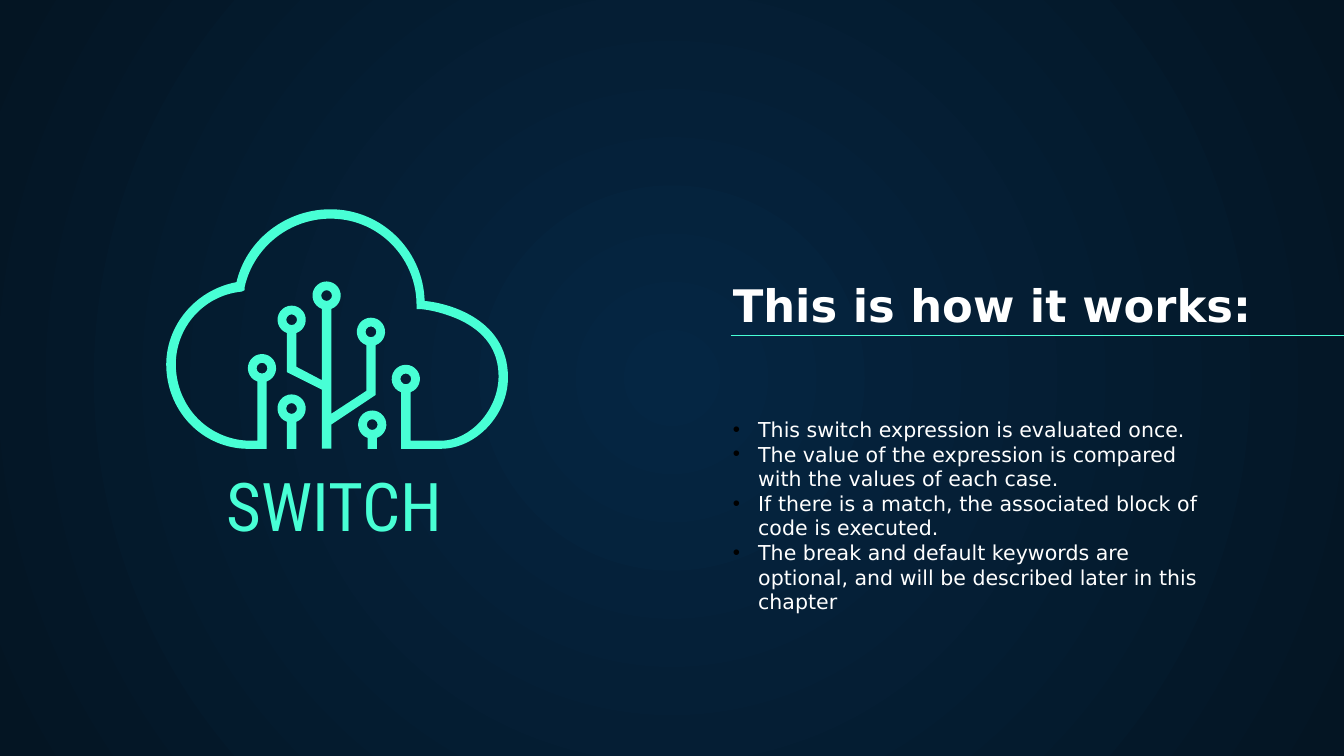
from math import asin, cos, pi, sin, tan

from lxml.etree import Element, SubElement
from pptx import Presentation
from pptx.dml.color import RGBColor
from pptx.enum.shapes import MSO_CONNECTOR
from pptx.enum.text import MSO_ANCHOR as Anchor, PP_ALIGN as Align
from pptx.oxml.ns import qn
from pptx.util import Cm, Pt

NAVY = RGBColor(0x05, 0x26, 0x43)
DARK_NAVY = RGBColor(0x04, 0x15, 0x23)
WHITE = RGBColor(0xFF, 0xFF, 0xFF)
MINT = RGBColor(0x48, 0xFF, 0xD5)

BODY_FONT = "DejaVu Sans"
LABEL_FONT = "Roboto Condensed"

ICON_UNIT = Cm(2.54)
RING_RADIUS = 0.21 / 2
HOLE_RADIUS = 0.04
HALF_STEM = 0.07 / 2
ICON_BASE = 3.34

STEPS = [
    "This switch expression is evaluated once.",
    "The value of the expression is compared with the values of each case.",
    "If there is a match, the associated block of code is executed.",
    "The break and default keywords are optional, and will be described later in this chapter",
]


def set_background(slide):
    fill = slide.background.fill
    fill.gradient()
    for stop, color in zip(fill.gradient_stops, (NAVY, DARK_NAVY)):
        stop.color.rgb = color
    gradient = slide.element.find(".//" + qn("a:gradFill"))
    gradient.remove(gradient.find(qn("a:lin")))
    path = SubElement(gradient, qn("a:path"), path="circle")
    SubElement(path, qn("a:fillToRect"), l="50000", t="50000", r="50000", b="50000")


def add_bullet(paragraph):
    properties = paragraph._p.get_or_add_pPr()
    properties.set("marL", str(Cm(0.48)))
    properties.set("indent", str(-Cm(0.48)))
    color = SubElement(properties, qn("a:buClr"))
    SubElement(color, qn("a:srgbClr"), val="000000")
    SubElement(properties, qn("a:buFont"), typeface="Arial")
    SubElement(properties, qn("a:buChar"), char="•")


def add_text(slide, box, lines, size, font_name, color, bold=False,
             align=Align.LEFT, anchor=Anchor.BOTTOM, bulleted=False):
    frame = slide.shapes.add_textbox(*map(Cm, box)).text_frame
    frame.word_wrap = True
    frame.vertical_anchor = anchor
    frame.margin_left = frame.margin_right = Cm(0.25)
    frame.margin_top = frame.margin_bottom = Cm(0.25)
    for index, line in enumerate(lines):
        paragraph = frame.add_paragraph() if index else frame.paragraphs[0]
        paragraph.alignment = align
        if bulleted:
            add_bullet(paragraph)
        run = paragraph.add_run()
        run.text = line
        run.font.size = Pt(size)
        run.font.name = font_name
        run.font.bold = bold
        run.font.color.rgb = color


def add_rule(slide, left, right, top):
    rule = slide.shapes.add_connector(
        MSO_CONNECTOR.STRAIGHT, Cm(left), Cm(top), Cm(right), Cm(top))
    rule.line.color.rgb = MINT
    rule.line.width = Pt(0.75)
    SubElement(rule._element.spPr, qn("a:effectLst"))


def corners(*points):
    return [[point] for point in points]


def curve(start, *points):
    return [[start]] + [list(points[i:i + 3]) for i in range(0, len(points), 3)]


def arc(center, radius, gap=0.0, count=3):
    step = -2 * (pi - gap) / count
    handle = 4 / 3 * tan(step / 4)

    def place(angle, pull):
        return (center[0] + radius * (cos(angle) - pull * sin(angle)),
                center[1] + radius * (sin(angle) + pull * cos(angle)))

    angles = [pi / 2 - gap + step * index for index in range(count + 1)]
    points = [place(angles[0], 0)]
    for begin, end in zip(angles, angles[1:]):
        points += [place(begin, handle), place(end, -handle), place(end, 0)]
    return curve(*points)


def ring(center):
    return arc(center, RING_RADIUS, asin(HALF_STEM / RING_RADIUS))


def hole(center):
    return arc(center, HOLE_RADIUS)


def add_outline(slide, *contours):
    builder = None
    for contour in contours:
        points = [(x * ICON_UNIT, y * ICON_UNIT) for segment in contour for x, y in segment]
        if builder is None:
            builder = slide.shapes.build_freeform(*points[0])
        else:
            builder.move_to(*points[0])
        builder.add_line_segments(points[1:], close=True)
    shape = builder.convert_to_shape()
    shape.shadow.inherit = False
    shape.fill.solid()
    shape.fill.fore_color.rgb = MINT
    shape.line.fill.background()
    bend_curves(shape, [segment for contour in contours for segment in contour[1:]])


def bend_curves(shape, segments):
    lines = iter(list(shape._element.iter(qn("a:lnTo"))))
    for segment in segments:
        group = [next(lines) for _ in segment]
        if len(group) == 3:
            bend = Element(qn("a:cubicBezTo"))
            group[0].addprevious(bend)
            for line in group:
                bend.append(line[0])
                line.getparent().remove(line)


def add_branches(slide):
    left, top, right = (2.17, 2.38), (2.43, 2.2), (2.76, 2.47)
    trunk_left, trunk_right = top[0] - HALF_STEM, top[0] + HALF_STEM
    outline = (
        corners((right[0] + HALF_STEM, 2.94)) + ring(right)
        + corners((right[0] - HALF_STEM, 2.91), (trunk_right, 3.08)) + ring(top)
        + corners((trunk_left, 2.83), (left[0] + HALF_STEM, 2.73)) + ring(left)
        + corners((left[0] - HALF_STEM, 2.77), (trunk_left, 2.9),
                  (trunk_left, ICON_BASE), (trunk_right, ICON_BASE), (trunk_right, 3.16)))
    add_outline(slide, outline, hole(left), hole(top), hole(right))


def add_cloud(slide):
    left, right = (1.95, 2.74), (3.02, 2.82)
    outer_left = curve(
        (3.16, 2.24), (3.15, 1.88), (2.87, 1.59), (2.52, 1.56),
        (2.17, 1.53), (1.84, 1.76), (1.76, 2.1),
        (1.44, 2.16), (1.21, 2.45), (1.24, 2.77),
        (1.27, 3.1), (1.54, 3.35), (1.87, ICON_BASE))
    inner_left = curve(
        (1.87, 3.28), (1.57, 3.28), (1.33, 3.05), (1.31, 2.75),
        (1.29, 2.46), (1.5, 2.2), (1.8, 2.17))
    inner_top = curve(
        (1.82, 2.14), (1.89, 1.82), (2.19, 1.6), (2.52, 1.63),
        (2.85, 1.66), (3.1, 1.94), (3.1, 2.27))
    inner_right = curve(
        (3.13, 2.3), (3.23, 2.31), (3.33, 2.34), (3.42, 2.38),
        (3.61, 2.47), (3.71, 2.61), (3.71, 2.8),
        (3.71, 3.05), (3.5, 3.28), (3.28, 3.28))
    outer_right = curve(
        (3.28, ICON_BASE), (3.54, 3.34), (3.78, 3.09), (3.78, 2.81),
        (3.78, 2.35), (3.29, 2.25), (3.16, 2.24))
    outline = (
        outer_left + corners((left[0] + HALF_STEM, ICON_BASE)) + ring(left)
        + corners((left[0] - HALF_STEM, 3.28)) + inner_left + corners((1.82, 2.16))
        + inner_top + corners((3.1, 2.3)) + inner_right
        + corners((right[0] + HALF_STEM, 3.28)) + ring(right)
        + corners((right[0] - HALF_STEM, ICON_BASE)) + outer_right)
    add_outline(slide, outline, hole(left), hole(right))


def add_short_stem(slide, center):
    x = center[0]
    foot = corners((x - HALF_STEM, ICON_BASE), (x + HALF_STEM, ICON_BASE))
    add_outline(slide, ring(center) + foot, hole(center))


def main():
    presentation = Presentation()
    presentation.slide_width = Cm(25.4)
    presentation.slide_height = Cm(14.29)
    slide = presentation.slides.add_slide(presentation.slide_layouts[6])
    set_background(slide)
    add_text(slide, (13.6, 4.83, 10.52, 1.68), ["This is how it works:"],
             24, BODY_FONT, WHITE, bold=True)
    add_text(slide, (13.6, 7.63, 9.6, 3.94), STEPS, 11, BODY_FONT, WHITE,
             anchor=Anchor.TOP, bulleted=True)
    add_rule(slide, 13.81, 26.16, 6.34)
    add_branches(slide)
    add_cloud(slide)
    for center in ((2.17, 3.04), (2.77, 3.16)):
        add_short_stem(slide, center)
    add_text(slide, (2.89, 8.88, 6.86, 1.68), ["SWITCH"],
             36, LABEL_FONT, MINT, align=Align.CENTER)
    presentation.save("out.pptx")


if __name__ == "__main__":
    main()
